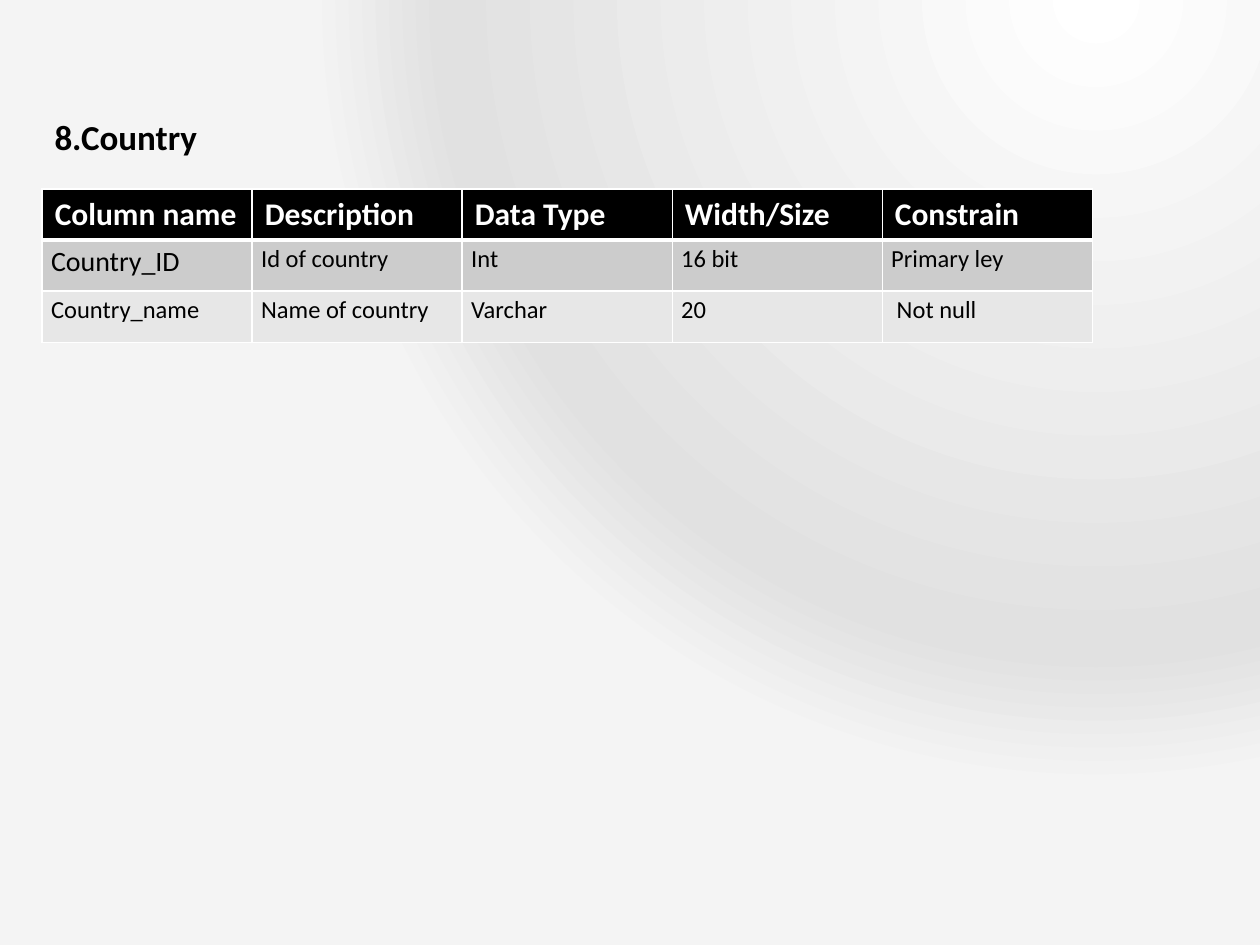
from dataclasses import dataclass

from lxml import etree
from pptx import Presentation
from pptx.dml.color import RGBColor
from pptx.enum import text
from pptx.oxml import ns, parse_xml
from pptx.util import Cm, Pt


@dataclass
class Theme:
    font: str = "Calibri"
    black: str = "000000"
    white: str = "FFFFFF"
    bands: tuple = ("CCCCCC", "E7E7E7")
    glow: tuple = ((0, "FFFFFF"), (83, "E1E1E1"), (100, "F4F4F4"))
    title: int = 20
    header: int = 18
    key: int = 16
    body: int = 14


theme = Theme()


def write(frame, words, size, color=theme.black, bold=False, spacing=None):
    para = frame.paragraphs[0]
    para.line_spacing = spacing
    span = para.add_run()
    span.text = words
    span.font.name = theme.font
    span.font.size = Pt(size)
    span.font.bold = bold
    span.font.color.rgb = RGBColor.from_string(color)


def add_borders(cell, bottom):
    properties = cell._tc.get_or_add_tcPr()
    widths = {"lnL": 1, "lnR": 1, "lnT": 1, "lnB": bottom}
    for place, (side, width) in enumerate(widths.items()):
        line = etree.Element(ns.qn(f"a:{side}"), w=str(Pt(width)))
        fill = etree.SubElement(line, ns.qn("a:solidFill"))
        etree.SubElement(fill, ns.qn("a:srgbClr"), val=theme.white)
        properties.insert(place, line)


deck = Presentation()
deck.slide_width, deck.slide_height = Cm(25.4), Cm(19.05)
page = deck.slides.add_slide(deck.slide_layouts[6])

# Background: circular glow from the upper right
page.background.fill.solid()
solid = page.element.find(".//" + ns.qn("p:bgPr") + "/" + ns.qn("a:solidFill"))
stops = "".join(
    f'<a:gs pos="{share * 1000}"><a:srgbClr val="{color}"/></a:gs>'
    for share, color in theme.glow
)
glow = parse_xml(
    f'<a:gradFill {ns.nsdecls("a")} rotWithShape="1"><a:gsLst>{stops}</a:gsLst>'
    '<a:path path="circle"><a:fillToRect l="75000" t="100000" r="0" b="300000"/>'
    "</a:path></a:gradFill>"
)
solid.getparent().replace(solid, glow)

# Table
rows = [
    ["Column name", "Description", "Data Type", "Width/Size", "Constrain"],
    ["Country_ID", "Id of country", "Int", "16 bit", "Primary ley"],
    ["Country_name", "Name of country", "Varchar", "20", " Not null"],
]
table = page.shapes.add_table(
    len(rows), len(rows[0]), Cm(0.85), Cm(3.81), Cm(21.17), Cm(3.09)
).table
for r, row in enumerate(rows):
    for c, words in enumerate(row):
        cell = table.cell(r, c)
        cell.fill.solid()
        if r == 0:
            color = theme.black
            write(cell.text_frame, words, theme.header, theme.white, bold=True)
        else:
            color = theme.bands[r - 1]
            cell.margin_left = cell.margin_right = Cm(0.18)
            cell.margin_top = cell.margin_bottom = 0
            size = theme.key if (r, c) == (1, 0) else theme.body
            write(cell.text_frame, words, size, spacing=1.15)
        cell.fill.fore_color.rgb = RGBColor.from_string(color)
        add_borders(cell, bottom=3 if r == 0 else 1)

# Title
box = page.shapes.add_textbox(Cm(0.85), Cm(0.64), Cm(21.38), Cm(4.23))
box.text_frame.word_wrap = True
box.text_frame.vertical_anchor = text.MSO_ANCHOR.MIDDLE
write(box.text_frame, "8.Country", theme.title, bold=True)

deck.save("out.pptx")
